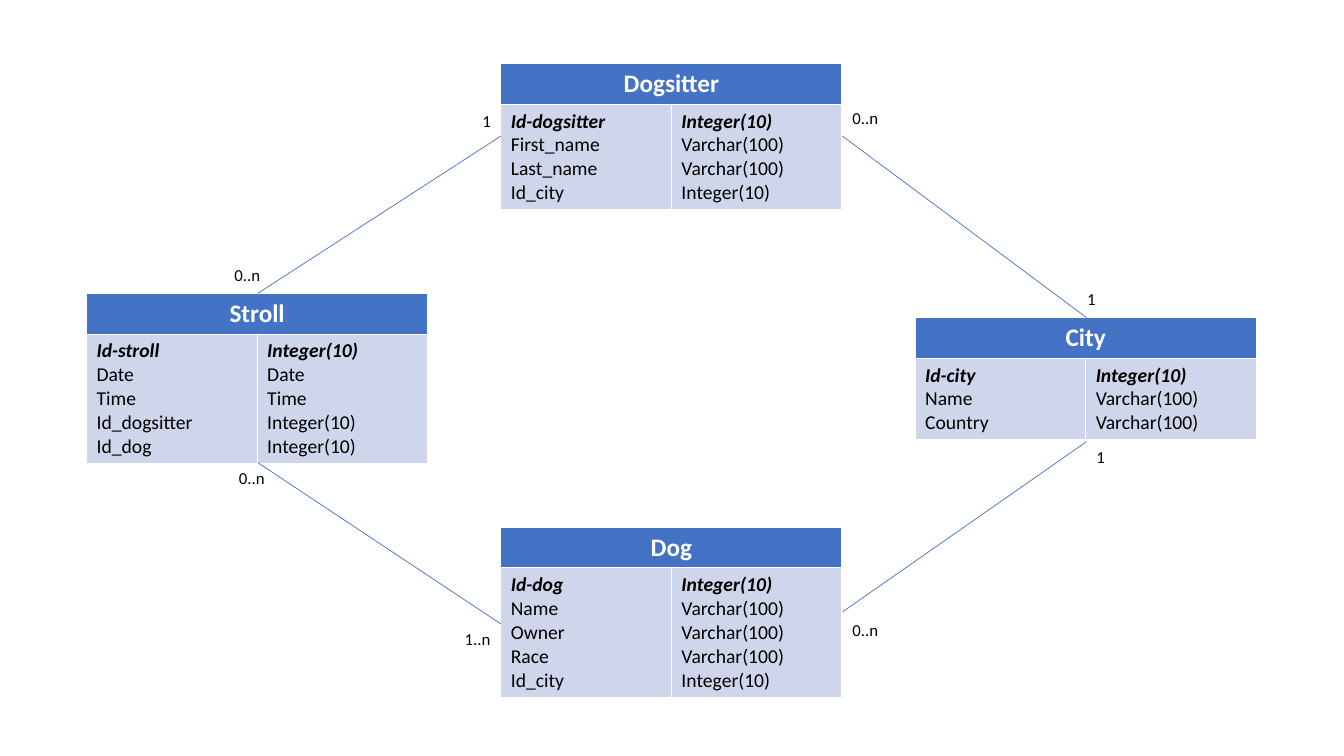
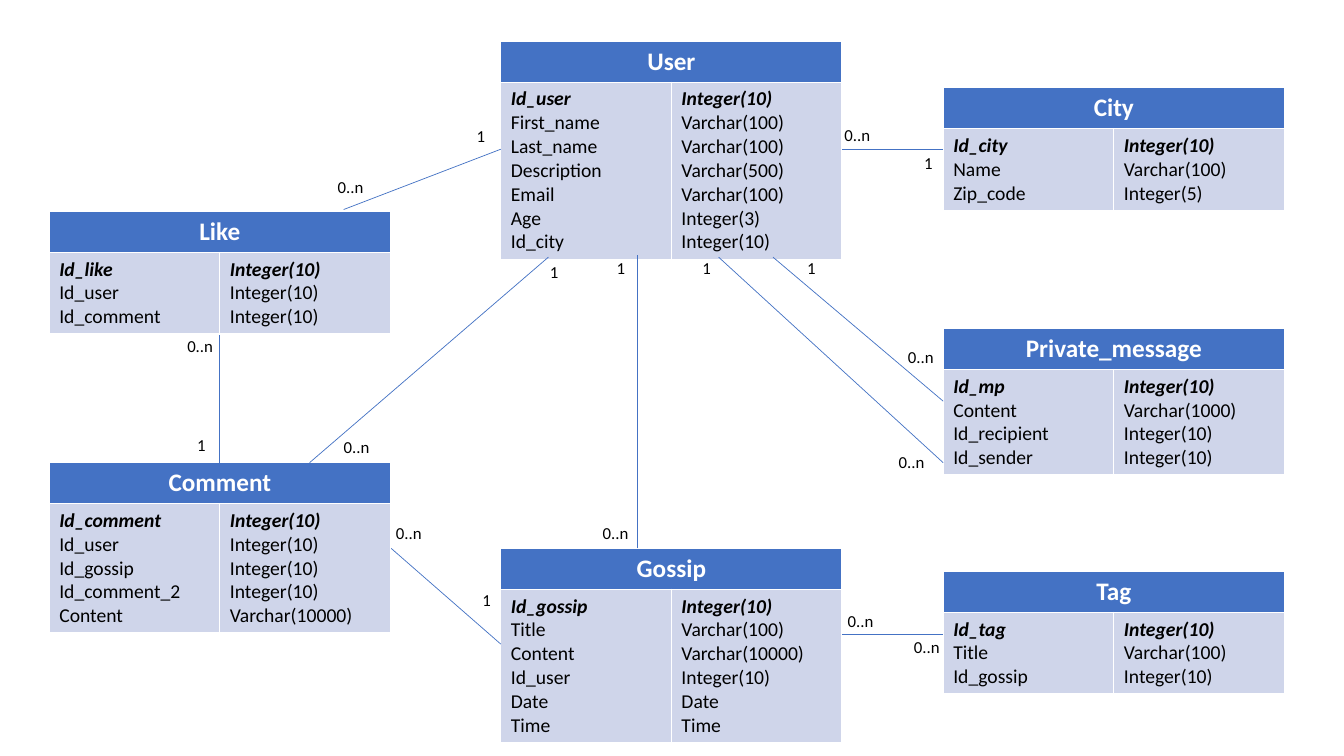
from dataclasses import dataclass

from lxml.etree import SubElement
from pptx import Presentation
from pptx.dml.color import RGBColor
from pptx.enum.shapes import MSO_CONNECTOR
from pptx.enum.text import MSO_ANCHOR, MSO_AUTO_SIZE, PP_ALIGN
from pptx.oxml.ns import qn
from pptx.util import Cm, Pt


# Shared colours, type sizes and measures (centimetres)
@dataclass(frozen=True)
class Theme:
    font: str = "Calibri"
    blue: RGBColor = RGBColor(0x44, 0x72, 0xC4)
    pale: RGBColor = RGBColor(0xCF, 0xD5, 0xEA)
    white: RGBColor = RGBColor(0xFF, 0xFF, 0xFF)
    black: RGBColor = RGBColor(0, 0, 0)
    heading_size: Pt = Pt(18)
    field_size: Pt = Pt(14)
    label_size: Pt = Pt(12)
    line_width: Pt = Pt(0.5)
    column_width: float = 4.3
    header_height: float = 1.03
    field_height: float = 0.59
    cell_margins: float = 0.26
    label_width: float = 1.45
    label_height: float = 0.77


theme = Theme()
LEFT, MIDDLE, RIGHT = 1.24, 12.62, 23.77

# Entities: name, left, top, (field, type) pairs with the key first
# Links: start, end, then the label and its place at each of the two ends
diagrams = [
    {
        "entities": [
            ("Dogsitter", MIDDLE, 1.6, [
                ("Id-dogsitter", "Integer(10)"), ("First_name", "Varchar(100)"),
                ("Last_name", "Varchar(100)"), ("Id_city", "Integer(10)")]),
            ("Dog", MIDDLE, 13.28, [
                ("Id-dog", "Integer(10)"), ("Name", "Varchar(100)"),
                ("Owner", "Varchar(100)"), ("Race", "Varchar(100)"),
                ("Id_city", "Integer(10)")]),
            ("City", 23.06, 8, [
                ("Id-city", "Integer(10)"), ("Name", "Varchar(100)"),
                ("Country", "Varchar(100)")]),
            ("Stroll", 2.18, 7.39, [
                ("Id-stroll", "Integer(10)"), ("Date", "Date"), ("Time", "Time"),
                ("Id_dogsitter", "Integer(10)"), ("Id_dog", "Integer(10)")]),
        ],
        "links": [
            ((12.62, 3.43), (6.5, 7.39), ("1", 11.91, 2.67), ("0..n", 5.66, 6.55)),
            ((12.62, 15.72), (6.5, 11.66), ("1..n", 11.46, 15.72), ("0..n", 5.77, 11.66)),
            ((21.23, 3.43), (27.38, 8), ("0..n", 21.23, 2.59), ("1", 27.15, 7.16)),
            ((27.38, 11.13), (21.23, 15.42), ("1", 27.38, 11.13), ("0..n", 21.23, 15.49)),
        ],
    },
    {
        "entities": [
            ("User", MIDDLE, 1.04, [
                ("Id_user", "Integer(10)"), ("First_name", "Varchar(100)"),
                ("Last_name", "Varchar(100)"), ("Description", "Varchar(500)"),
                ("Email", "Varchar(100)"), ("Age", "Integer(3)"),
                ("Id_city", "Integer(10)")]),
            ("City", RIGHT, 2.21, [
                ("Id_city", "Integer(10)"), ("Name", "Varchar(100)"),
                ("Zip_code", "Integer(5)")]),
            ("Private_message", RIGHT, 8.28, [
                ("Id_mp", "Integer(10)"), ("Content", "Varchar(1000)"),
                ("Id_recipient", "Integer(10)"), ("Id_sender", "Integer(10)")]),
            ("Gossip", MIDDLE, 13.82, [
                ("Id_gossip", "Integer(10)"), ("Title", "Varchar(100)"),
                ("Content", "Varchar(10000)"), ("Id_user", "Integer(10)"),
                ("Date", "Date"), ("Time", "Time")]),
            ("Tag", RIGHT, 14.4, [
                ("Id_tag", "Integer(10)"), ("Title", "Varchar(100)"),
                ("Id_gossip", "Integer(10)")]),
            ("Comment", LEFT, 11.66, [
                ("Id_comment", "Integer(10)"), ("Id_user", "Integer(10)"),
                ("Id_gossip", "Integer(10)"), ("Id_comment_2", "Integer(10)"),
                ("Content", "Varchar(10000)")]),
            ("Like", LEFT, 5.33, [
                ("Id_like", "Integer(10)"), ("Id_user", "Integer(10)"),
                ("Id_comment", "Integer(10)")]),
        ],
        "links": [
            ((12.62, 3.76), (8.66, 5.28), ("1", 11.76, 3.05), ("0..n", 8.26, 4.32)),
            ((21.23, 3.76), (23.77, 3.76), ("0..n", 21.03, 3.02), ("1", 23.04, 3.73)),
            ((5.54, 11.66), (5.54, 8.43), ("1", 4.72, 10.82), ("0..n", 4.47, 8.33)),
            ((12.62, 16.23), (9.86, 13.82), ("1", 11.91, 14.73), ("0..n", 9.73, 13.06)),
            ((7.8, 11.66), (13.82, 6.48), ("0..n", 8.41, 10.87), ("1", 13.61, 6.48)),
            ((23.77, 10.11), (19.48, 6.48), ("0..n", 22.63, 8.61), ("1", 20.09, 6.38)),
            ((23.77, 11.66), (18.11, 6.48), ("0..n", 22.4, 11.25), ("1", 17.45, 6.38)),
            ((21.23, 15.98), (23.77, 15.98), ("0..n", 21.11, 15.27), ("0..n", 22.78, 15.93)),
            ((16.05, 13.82), (16.05, 6.43), ("0..n", 14.94, 13.06), ("1", 15.29, 6.38)),
        ],
    },
]


def add_span(para, text, size, color, bold=False, italic=False):
    span = para.add_run()
    span.text = text
    span.font.name = theme.font
    span.font.size = size
    span.font.color.rgb = color
    span.font.bold = bold
    span.font.italic = italic


def fill_cell(cell, color):
    cell.fill.solid()
    cell.fill.fore_color.rgb = color
    cell.vertical_anchor = MSO_ANCHOR.MIDDLE


deck = Presentation()
deck.slide_width, deck.slide_height = Cm(33.87), Cm(19.05)
blank_layout = deck.slide_layouts[6]

for diagram in diagrams:
    page = deck.slides.add_slide(blank_layout)

    # Entity tables; the table style draws the white borders
    for name, left, top, fields in diagram["entities"]:
        body_height = theme.field_height * len(fields) + theme.cell_margins
        table = page.shapes.add_table(
            2, 2, Cm(left), Cm(top), Cm(2 * theme.column_width),
            Cm(theme.header_height + body_height)).table
        table.horz_banding = False
        table.rows[0].height = Cm(theme.header_height)
        table.rows[1].height = Cm(body_height)

        header = table.cell(0, 0)
        header.merge(table.cell(0, 1))
        fill_cell(header, theme.blue)
        para = header.text_frame.paragraphs[0]
        para.alignment = PP_ALIGN.CENTER
        add_span(para, name, theme.heading_size, theme.white, bold=True)

        for column, texts in enumerate(zip(*fields)):
            cell = table.cell(1, column)
            fill_cell(cell, theme.pale)
            frame = cell.text_frame
            for row, text in enumerate(texts):
                is_key = row == 0
                para = frame.paragraphs[0] if is_key else frame.add_paragraph()
                add_span(para, text, theme.field_size, theme.black, is_key, is_key)

    # Relations and their cardinalities
    for start, end, *labels in diagram["links"]:
        link = page.shapes.add_connector(
            MSO_CONNECTOR.STRAIGHT, *[Cm(value) for value in start + end])
        link.line.color.rgb = theme.blue
        link.line.width = theme.line_width
        SubElement(link.element.spPr, qn("a:effectLst"))

        for text, left, top in labels:
            box = page.shapes.add_textbox(
                Cm(left), Cm(top), Cm(theme.label_width), Cm(theme.label_height))
            box.text_frame.word_wrap = True
            box.text_frame.auto_size = MSO_AUTO_SIZE.SHAPE_TO_FIT_TEXT
            add_span(box.text_frame.paragraphs[0], text, theme.label_size, theme.black)

deck.save("out.pptx")
